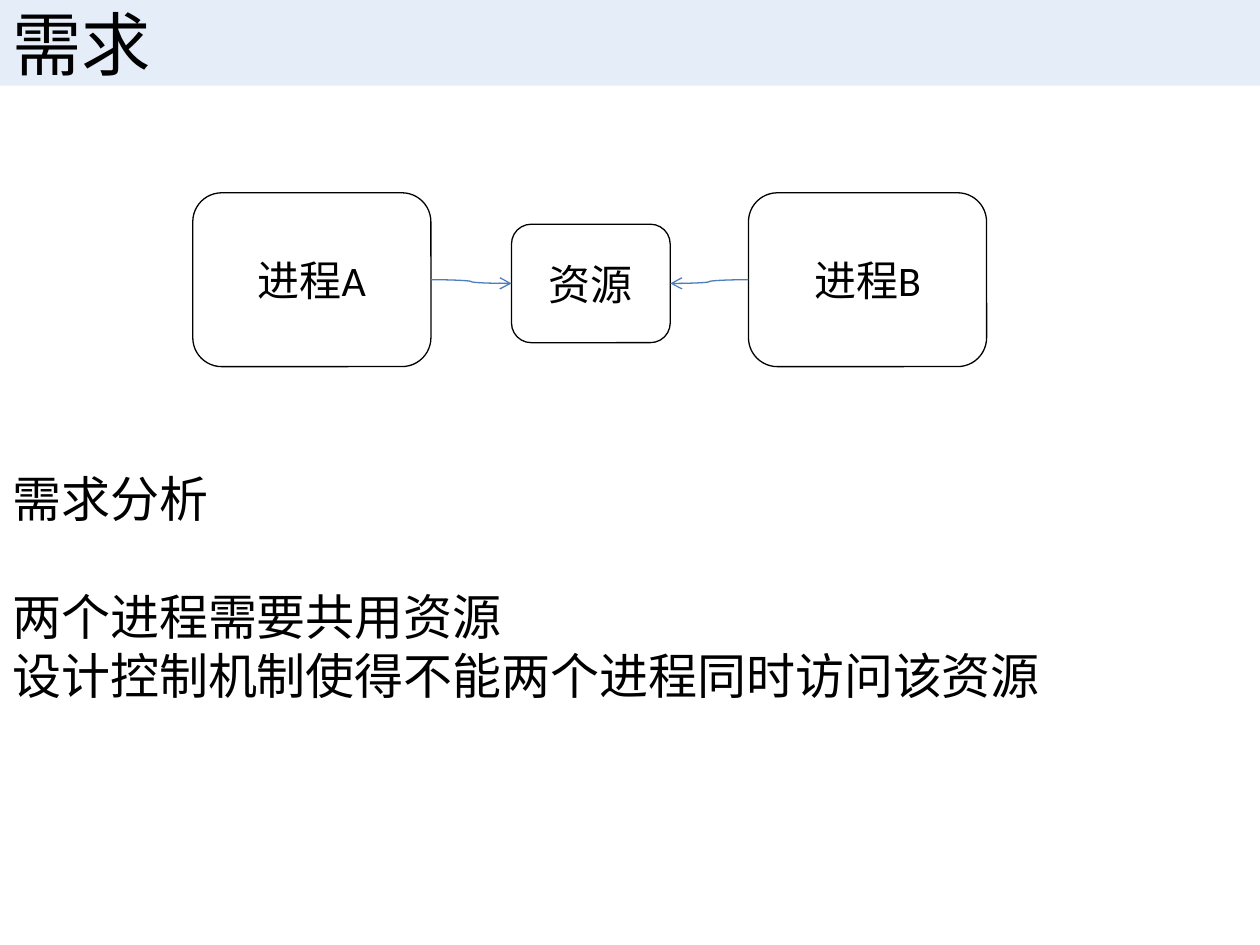
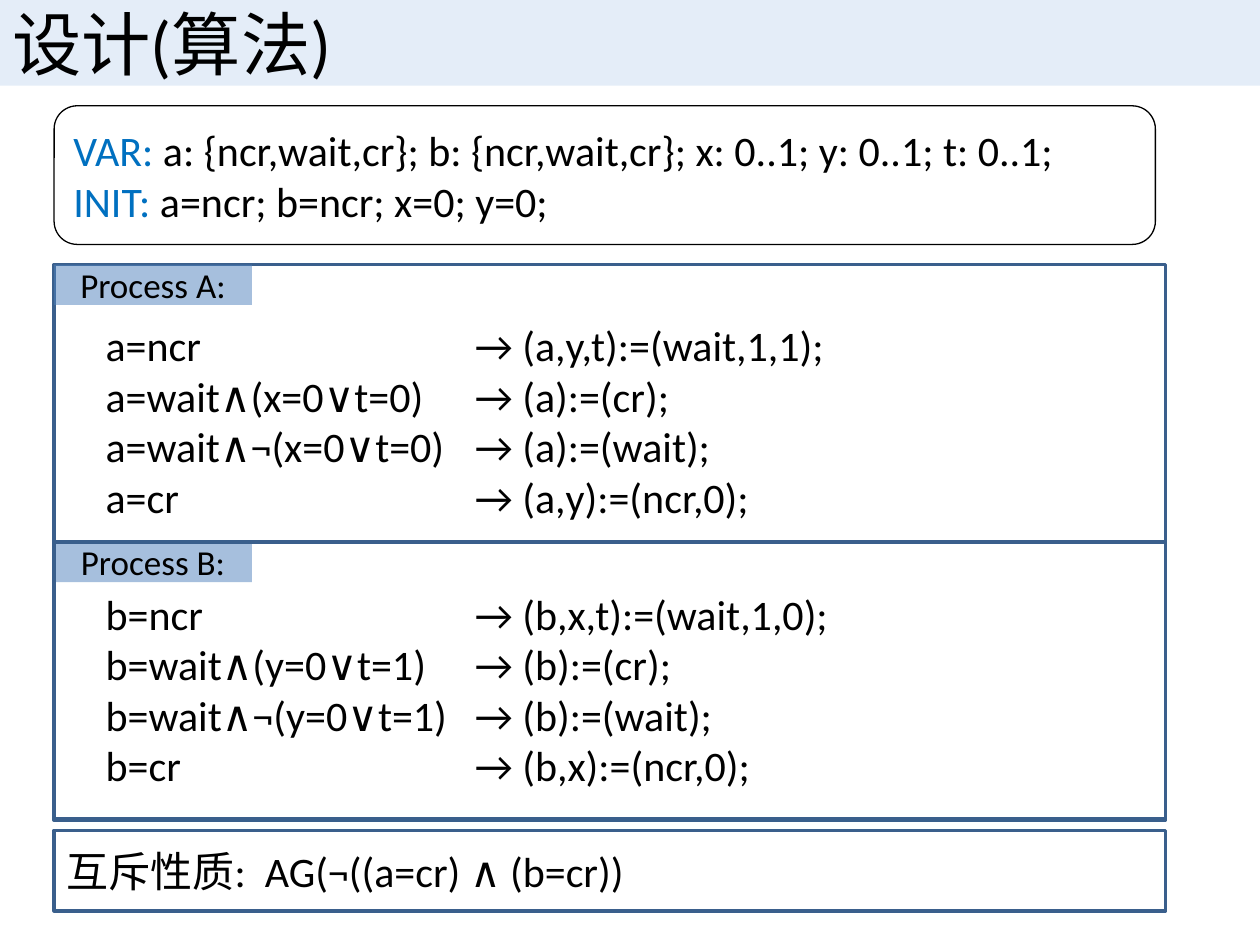
import dataclasses
import typing

import lxml.etree
import pptx
import pptx.dml.color
import pptx.enum.shapes
import pptx.enum.text
import pptx.oxml.ns
import pptx.util

Inches = pptx.util.Inches
Shapes = pptx.enum.shapes.MSO_SHAPE
Align = pptx.enum.text.PP_ALIGN
Anchor = pptx.enum.text.MSO_ANCHOR

FONT = "Calibri"
BLACK, WHITE, KEYWORD = "000000", "FFFFFF", "0070C0"
BAND, ARROW, FRAME, LABEL = "C6D9F1", "4B7EBC", "3A5F8C", "4F81BD"


@dataclasses.dataclass
class Panel:
    left: float
    top: float
    width: float
    height: float
    preset: typing.Any = Shapes.RECTANGLE
    fill: str = ""
    opacity: int = 100
    line: str = ""
    weight: float = 0.75


@dataclasses.dataclass
class Span:
    text: str
    colour: str = BLACK


@dataclasses.dataclass
class Process:
    name: str
    top: float
    rules_top: float
    rules_height: float
    rules: list[tuple[str, str]]


def rgb(colour: str) -> pptx.dml.color.RGBColor:
    return pptx.dml.color.RGBColor.from_string(colour)


def add_xml(parent, tag: str, **values: str):
    return lxml.etree.SubElement(parent, pptx.oxml.ns.qn(tag), **values)


def draw_panel(page, panel: Panel):
    shape = page.shapes.add_shape(
        panel.preset, *map(Inches, (panel.left, panel.top, panel.width, panel.height)))
    shape.shadow.inherit = False
    if panel.fill:
        shape.fill.solid()
        shape.fill.fore_color.rgb = rgb(panel.fill)
        if panel.opacity < 100:
            colour = shape.fill._xPr.find(".//" + pptx.oxml.ns.qn("a:srgbClr"))
            add_xml(colour, "a:alpha", val=str(panel.opacity * 1000))
    else:
        shape.fill.background()
    if panel.line:
        shape.line.color.rgb = rgb(panel.line)
        shape.line.width = pptx.util.Pt(panel.weight)
    else:
        shape.line.fill.background()
    return shape


def write(box, lines: list[list[Span]], size: float, align=Align.LEFT,
          anchor=Anchor.MIDDLE, tab: float = 0) -> None:
    frame = box.text_frame
    frame.word_wrap = True
    frame.vertical_anchor = anchor
    for index, spans in enumerate(lines):
        para = frame.paragraphs[0] if index == 0 else frame.add_paragraph()
        para.alignment = align
        if tab:
            tabs = add_xml(para._p.get_or_add_pPr(), "a:tabLst")
            add_xml(tabs, "a:tab", pos=str(Inches(tab)), algn="l")
        for span in spans:
            run = para.add_run()
            run.text = span.text
            run.font.color.rgb = rgb(span.colour)
            looks = {"name": FONT, "size": pptx.util.Pt(size)}
            for key, value in looks.items():
                setattr(run.font, key, value)


def add_text(page, left: float, top: float, width: float, height: float):
    return page.shapes.add_textbox(*map(Inches, (left, top, width, height)))


def add_page(deck, title: str):
    page = deck.slides.add_slide(deck.slide_layouts[6])
    band = draw_panel(page, Panel(0, 0, 10, 0.68, fill=BAND, opacity=47))
    write(band, [[Span(title)]], 39.6)
    return page


def connect(page, start, start_site: int, end, end_site: int) -> None:
    arrow = page.shapes.add_connector(
        pptx.enum.shapes.MSO_CONNECTOR.CURVE, 0, 0, 0, 0)
    arrow.begin_connect(start, start_site)
    arrow.end_connect(end, end_site)
    arrow.line.color.rgb = rgb(ARROW)
    arrow.line.width = pptx.util.Pt(0.75)
    add_xml(arrow.line._get_or_add_ln(), "a:tailEnd", type="arrow")
    add_xml(arrow._element.spPr, "a:effectLst")


def rounded(left: float, top: float, width: float, height: float) -> Panel:
    return Panel(left, top, width, height, Shapes.ROUNDED_RECTANGLE,
                 fill=WHITE, line=BLACK)


def framed(top: float, height: float) -> Panel:
    return Panel(0.43, top, 8.82, height, line=FRAME, weight=2)


def build_requirements(deck) -> None:
    page = add_page(deck, "需求")

    # Two processes sharing one resource
    nodes = {}
    for name, panel in {
        "进程A": rounded(1.53, 1.53, 1.89, 1.38),
        "资源": rounded(4.06, 1.78, 1.26, 0.94),
        "进程B": rounded(5.94, 1.53, 1.89, 1.38),
    }.items():
        nodes[name] = draw_panel(page, panel)
        write(nodes[name], [[Span(name)]], 24, Align.CENTER)
    left_site, right_site = 1, 3
    connect(page, nodes["进程A"], right_site, nodes["资源"], left_site)
    connect(page, nodes["进程B"], left_site, nodes["资源"], right_site)

    # Analysis, with a gap below its heading
    analysis = add_text(page, 0, 3.67, 10, 2.46)
    lines = ["需求分析", "两个进程需要共用资源", "设计控制机制使得不能两个进程同时访问该资源"]
    write(analysis, [[Span(line)] for line in lines], 28, anchor=Anchor.TOP)
    analysis.text_frame.paragraphs[1].space_before = pptx.util.Pt(34)


PROCESSES = [
    Process("Process A:", 2.1, 2.49, 2.93, [
        ("a=ncr", "(a,y,t):=(wait,1,1);"),
        ("a=wait∧(x=0∨t=0)", "(a):=(cr);"),
        ("a=wait∧¬(x=0∨t=0)", "(a):=(wait);"),
        ("a=cr", "(a,y):=(ncr,0);"),
    ]),
    Process("Process B:", 4.3, 4.62, 2.02, [
        ("b=ncr", "(b,x,t):=(wait,1,0);"),
        ("b=wait∧(y=0∨t=1)", "(b):=(cr);"),
        ("b=wait∧¬(y=0∨t=1)", "(b):=(wait);"),
        ("b=cr", "(b,x):=(ncr,0);"),
    ]),
]


def build_design(deck) -> None:
    page = add_page(deck, "设计(算法)")

    # Variables and initial state
    state = draw_panel(page, rounded(0.43, 0.84, 8.74, 1.1))
    write(state, [
        [Span("VAR: ", KEYWORD),
         Span("a: {ncr,wait,cr}; b: {ncr,wait,cr}; x: 0..1; y: 0..1; t: 0..1;")],
        [Span("INIT: ", KEYWORD), Span("a=ncr; b=ncr; x=0; y=0;")],
    ], 24)

    # Process labels and their transition rules
    draw_panel(page, framed(2.1, 4.41))
    for process in PROCESSES:
        label = draw_panel(
            page, Panel(0.43, process.top, 1.57, 0.32, fill=LABEL, opacity=50))
        write(label, [[Span(process.name)]], 20, Align.CENTER)
        rules = add_text(page, 0.74, process.rules_top, 6.1, process.rules_height)
        write(rules, [[Span(f"{guard}\t→ {action}")] for guard, action in process.rules],
              24, anchor=Anchor.TOP, tab=2.93)
    draw_panel(page, framed(4.3, 2.2))

    # Mutual exclusion property
    exclusion = draw_panel(page, framed(6.59, 0.64))
    write(exclusion, [[Span("互斥性质:  AG(¬((a=cr) ∧ (b=cr))")]], 24)


def main() -> None:
    deck = pptx.Presentation()
    deck.slide_width, deck.slide_height = Inches(10), Inches(7.5)
    build_requirements(deck)
    build_design(deck)
    deck.save("out.pptx")


if __name__ == "__main__":
    main()
